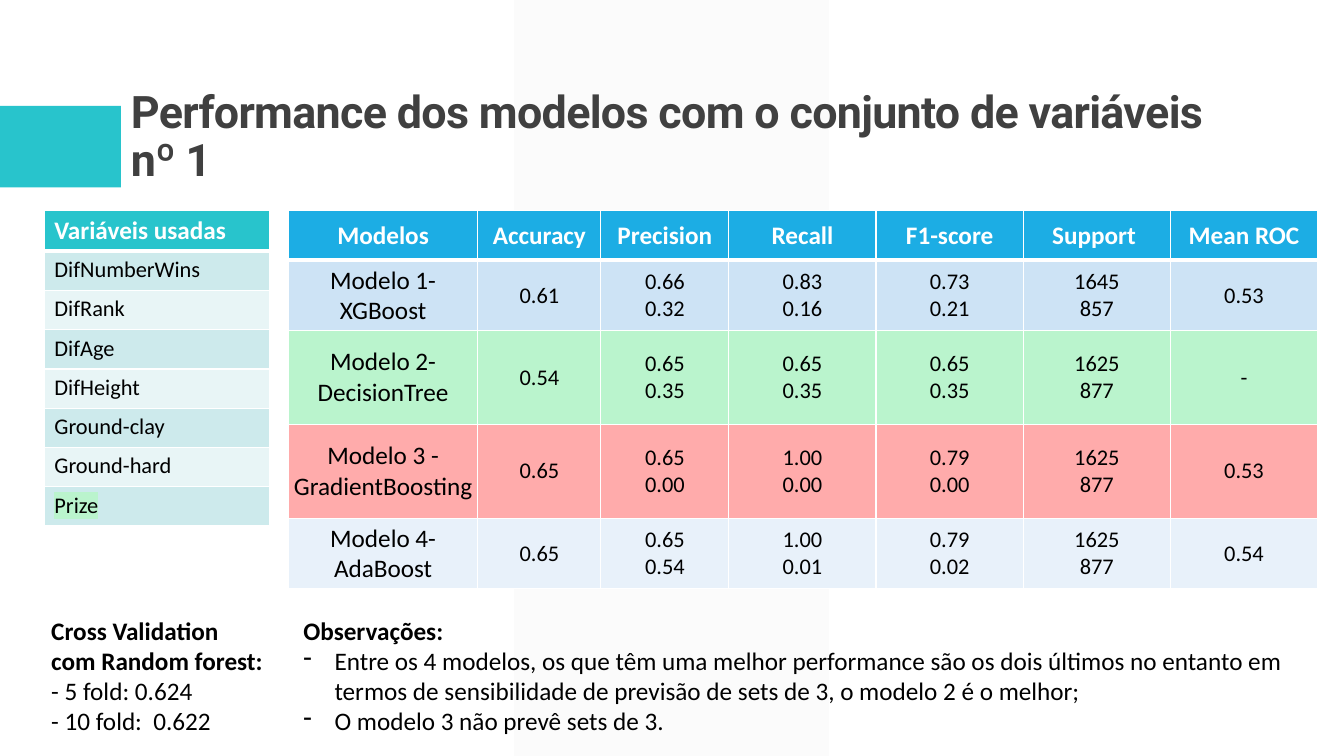
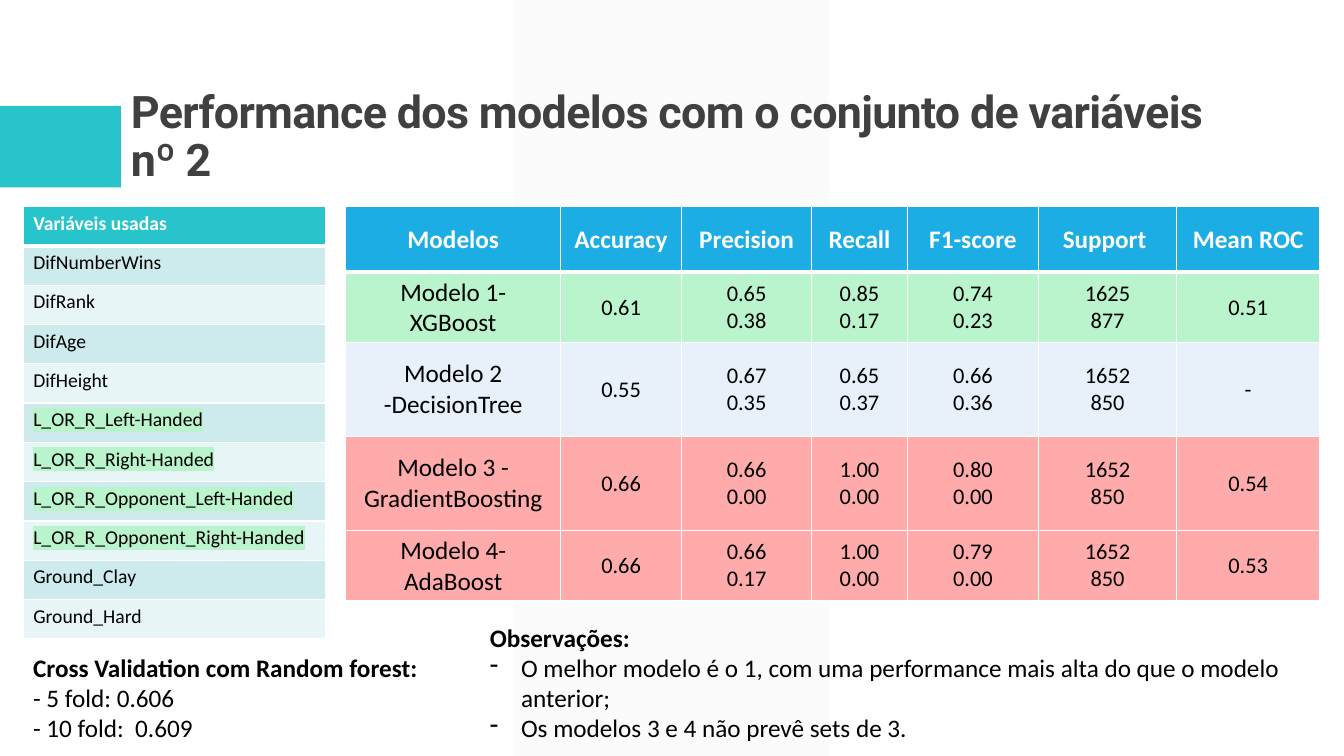
import pptx
import pptx.util
import pptx.dml.color
import pptx.enum.shapes
import pptx.enum.text
import pptx.oxml
import pptx.oxml.ns

Inches = pptx.util.Inches
Align = pptx.enum.text.PP_ALIGN
Anchor = pptx.enum.text.MSO_ANCHOR

TEAL, BLUE, WHITE, BLACK = "28C4CC", "1CADE4", "FFFFFF", "000000"
GREY, DARK = "F2F2F2", "404040"
GREEN, RED, SKY, PALE = "BAF4CD", "FFABAB", "CDE3F5", "E8F1FA"
BANDS = ["CDEAEC", "E8F5F6"]
TITLE = "Performance dos modelos com o conjunto de variáveis nº "
HEADS = ["Modelos", "Accuracy", "Precision", "Recall", "F1-score", "Support ", "Mean ROC"]

SLIDES = [
    {
        "title": TITLE + "1",
        "at": (2.86, 2.09),
        "cols": [1.88, 1.22, 1.27, 1.46, 1.46, 1.46, 1.46],
        "head": 0.49,
        "pad": 0.05,
        "models": [
            (SKY, "Modelo 1- XGBoost", "0.61", "0.66\n0.32", "0.83\n0.16", "0.73\n0.21", "1645\n857", "0.53"),
            (GREEN, "Modelo 2- DecisionTree", "0.54", "0.65\n0.35", "0.65\n0.35", "0.65\n0.35", "1625\n877", "-"),
            (RED, "Modelo 3 - GradientBoosting", "0.65", "0.65\n0.00", "1.00\n0.00", "0.79\n0.00", "1625\n877", "0.53"),
            (PALE, "Modelo 4- AdaBoost", "0.65", "0.65\n0.54", "1.00\n0.01", "0.79\n0.02", "1625\n877", "0.54"),
        ],
        "vars": ["DifNumberWins", "DifRank", "DifAge", "DifHeight", "Ground-clay", "Ground-hard", "Prize"],
        "new": ["Prize"],
        "list": (0.44, 2.09, 2.23),
        "sizes": (18, 16),
        "cross": (0.41, 6.05, 2.45, 1.31),
        "folds": (["Cross Validation", "com Random forest:"], ["- 5 fold: 0.624", "- 10 fold:  0.622"]),
        "notes": (2.91, 6.05, 10.11, 1.31),
        "points": [
            "Entre os 4 modelos, os que têm uma melhor performance são os dois últimos no entanto em "
            "termos de sensibilidade de previsão de sets de 3, o modelo 2 é o melhor;",
            "O modelo 3 não prevê sets de 3.",
        ],
    },
    {
        "title": TITLE + "2",
        "at": (3.43, 2.05),
        "cols": [2.13, 1.2, 1.29, 0.95, 1.3, 1.37, 1.42],
        "head": 0.65,
        "pad": 0.1,
        "models": [
            (GREEN, "Modelo 1- XGBoost", "0.61", "0.65\n0.38", "0.85\n0.17", "0.74\n0.23", "1625\n877", "0.51"),
            (PALE, "Modelo 2 -DecisionTree", "0.55", "0.67\n0.35", "0.65\n0.37", "0.66\n0.36", "1652\n850", "-"),
            (RED, "Modelo 3 - GradientBoosting", "0.66", "0.66\n0.00", "1.00\n0.00", "0.80\n0.00", "1652\n850", "0.54"),
            (RED, "Modelo 4- AdaBoost", "0.66", "0.66\n0.17", "1.00\n0.00", "0.79\n0.00", "1652\n850", "0.53"),
        ],
        "vars": ["DifNumberWins", "DifRank", "DifAge", "DifHeight", "L_OR_R_Left-Handed",
                 "L_OR_R_Right-Handed", "L_OR_R_Opponent_Left-Handed",
                 "L_OR_R_Opponent_Right-Handed", "Ground_Clay", "Ground_Hard"],
        "new": ["L_OR_R_Left-Handed", "L_OR_R_Right-Handed", "L_OR_R_Opponent_Left-Handed",
                "L_OR_R_Opponent_Right-Handed"],
        "list": (0.23, 2.05, 3),
        "sizes": (14, 14),
        "cross": (0.23, 6.42, 4.52, 1.01),
        "folds": (["Cross Validation com Random forest:"], ["- 5 fold: 0.606", "- 10 fold:  0.609"]),
        "notes": (4.76, 6.12, 8.15, 1.31),
        "points": [
            "O melhor modelo é o 1, com uma performance mais alta do que o modelo anterior;",
            "Os modelos 3 e 4 não prevê sets de 3.",
        ],
    },
]


def rgb(code):
    return pptx.dml.color.RGBColor.from_string(code)


def node(xml):
    start = xml.split("/", 1)[0].split(">", 1)[0].split(" ", 1)[0]
    return pptx.oxml.parse_xml(xml.replace(start, start + " " + pptx.oxml.ns.nsdecls("a"), 1))


def style(para, size, color=BLACK, bold=False, face="Calibri"):
    font = para.font
    font.size, font.bold, font.name = pptx.util.Pt(size), bold, face
    font.color.rgb = rgb(color)


def block(slide, box, color):
    shape = slide.shapes.add_shape(
        pptx.enum.shapes.MSO_SHAPE.RECTANGLE, *map(Inches, box))
    shape.shadow.inherit = False
    shape.fill.solid()
    shape.fill.fore_color.rgb = rgb(color)
    shape.line.fill.background()
    return shape


def write(slide, box, lines):
    frame = slide.shapes.add_textbox(*map(Inches, box)).text_frame
    frame.word_wrap = True
    frame.text = "\n".join(lines)
    return frame


def frame_slide(slide, title):
    stripe = block(slide, (5.1, 0, 3.12, 7.5), GREY)
    tint = stripe.fill._xPr.find(".//" + pptx.oxml.ns.qn("a:srgbClr"))
    tint.append(node('<a:alpha val="30000"/>'))
    block(slide, (0, 1.05, 1.2, 0.81), TEAL)
    frame = write(slide, (1.2, 0.31, 11, 1.59), [title])
    frame.vertical_anchor = Anchor.BOTTOM
    para = frame.paragraphs[0]
    para.line_spacing = 0.9
    style(para, 32, DARK, True, "Roboto")
    para.runs[0]._r.get_or_add_rPr().set("spc", "-50")


def grid(slide, at, cols, rows):
    table = slide.shapes.add_table(
        len(rows), len(cols), *map(Inches, (*at, sum(cols), sum(rows)))).table
    table.first_row = table.horz_banding = False
    for col, width in zip(table.columns, cols):
        col.width = Inches(width)
    for row, height in zip(table.rows, rows):
        row.height = Inches(height)
    return table


def put(table, row, col, text, fill, size, color=BLACK, bold=False, align=Align.LEFT):
    cell = table.cell(row, col)
    cell.text = text
    for para in cell.text_frame.paragraphs:
        para.alignment = align
        style(para, size, color, bold)
    props = cell._tc.get_or_add_tcPr()
    for side in "LRTB":
        thick = (row, side) in ((0, "B"), (1, "T"))
        props.append(node(
            f'<a:ln{side} w="{38100 if thick else 12700}"><a:solidFill>'
            f'<a:srgbClr val="{WHITE}"/></a:solidFill></a:ln{side}>'))
    cell.fill.solid()
    cell.fill.fore_color.rgb = rgb(fill)
    return cell


def add_scores(slide, data):
    table = grid(slide, data["at"], data["cols"], [data["head"], 0.7, 0.93, 0.93, 0.7])
    for row, (fill, *texts) in enumerate([(BLUE, *HEADS), *data["models"]]):
        top = row == 0
        for col, text in enumerate(texts):
            cell = put(table, row, col, text, fill, 18 if top or col == 0 else 16,
                       WHITE if top else BLACK, top, Align.CENTER)
            cell.vertical_anchor = Anchor.MIDDLE
            if col == 0:
                cell.margin_left = cell.margin_right = Inches(data["pad"])


def add_vars(slide, data):
    left, top, width = data["list"]
    big, small = data["sizes"]
    names = data["vars"]
    table = grid(slide, (left, top), [width], [0.39] * (len(names) + 1))
    put(table, 0, 0, "Variáveis usadas", TEAL, big, WHITE, True)
    for row, name in enumerate(names, 1):
        cell = put(table, row, 0, name, BANDS[(row - 1) % 2], small)
        if name in data["new"]:
            run = cell.text_frame.paragraphs[0].runs[0]
            run._r.get_or_add_rPr().append(
                node(f'<a:highlight><a:srgbClr val="{GREEN}"/></a:highlight>'))


def add_notes(slide, data):
    heads, folds = data["folds"]
    frame = write(slide, data["cross"], heads + folds)
    for i, para in enumerate(frame.paragraphs):
        style(para, 18, bold=i < len(heads))
    frame = write(slide, data["notes"], ["Observações:", *data["points"]])
    for i, para in enumerate(frame.paragraphs):
        style(para, 18, bold=i == 0)
        if i:
            props = para._p.get_or_add_pPr()
            props.set("marL", str(Inches(0.31)))
            props.set("indent", str(-Inches(0.31)))
            props.insert(0, node('<a:buChar char="-"/>'))


def main():
    deck = pptx.Presentation()
    deck.slide_width, deck.slide_height = Inches(13.33), Inches(7.5)
    for data in SLIDES:
        slide = deck.slides.add_slide(deck.slide_layouts[6])
        frame_slide(slide, data["title"])
        add_scores(slide, data)
        add_vars(slide, data)
        add_notes(slide, data)
    deck.save("out.pptx")


if __name__ == "__main__":
    main()
